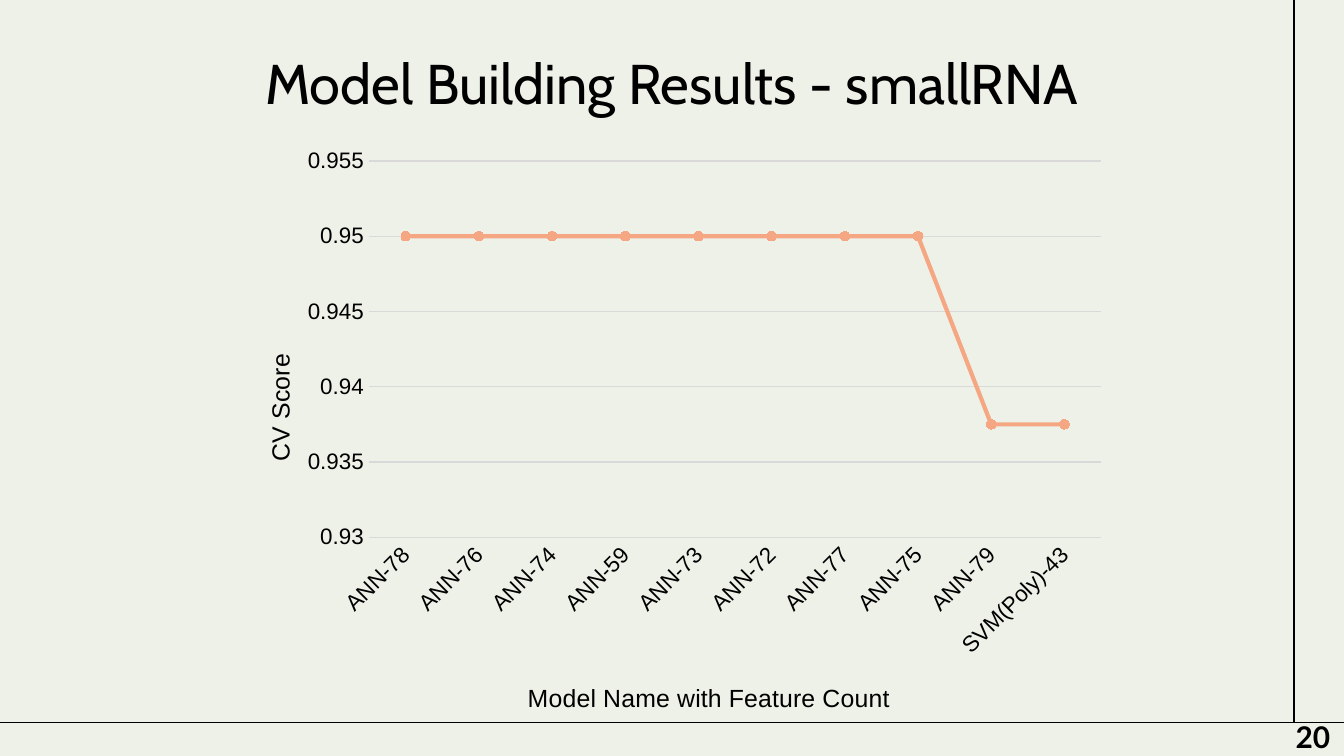
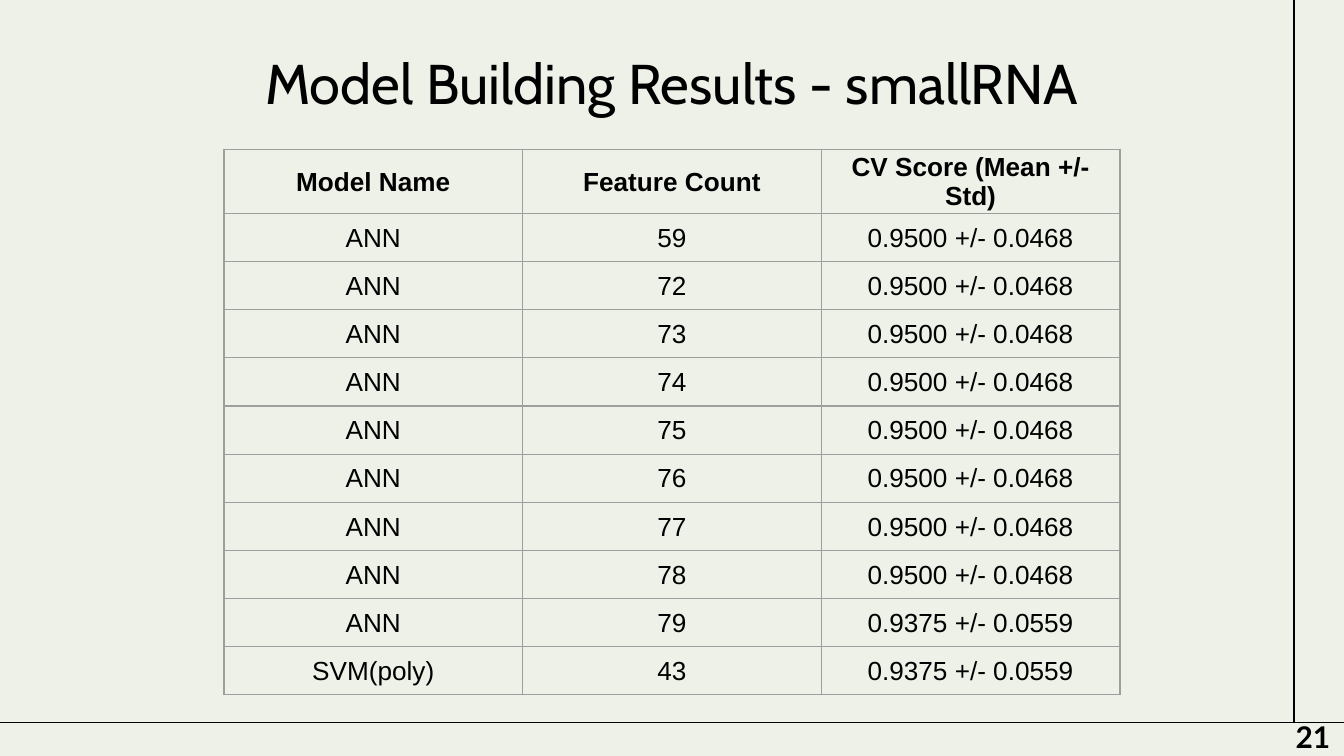
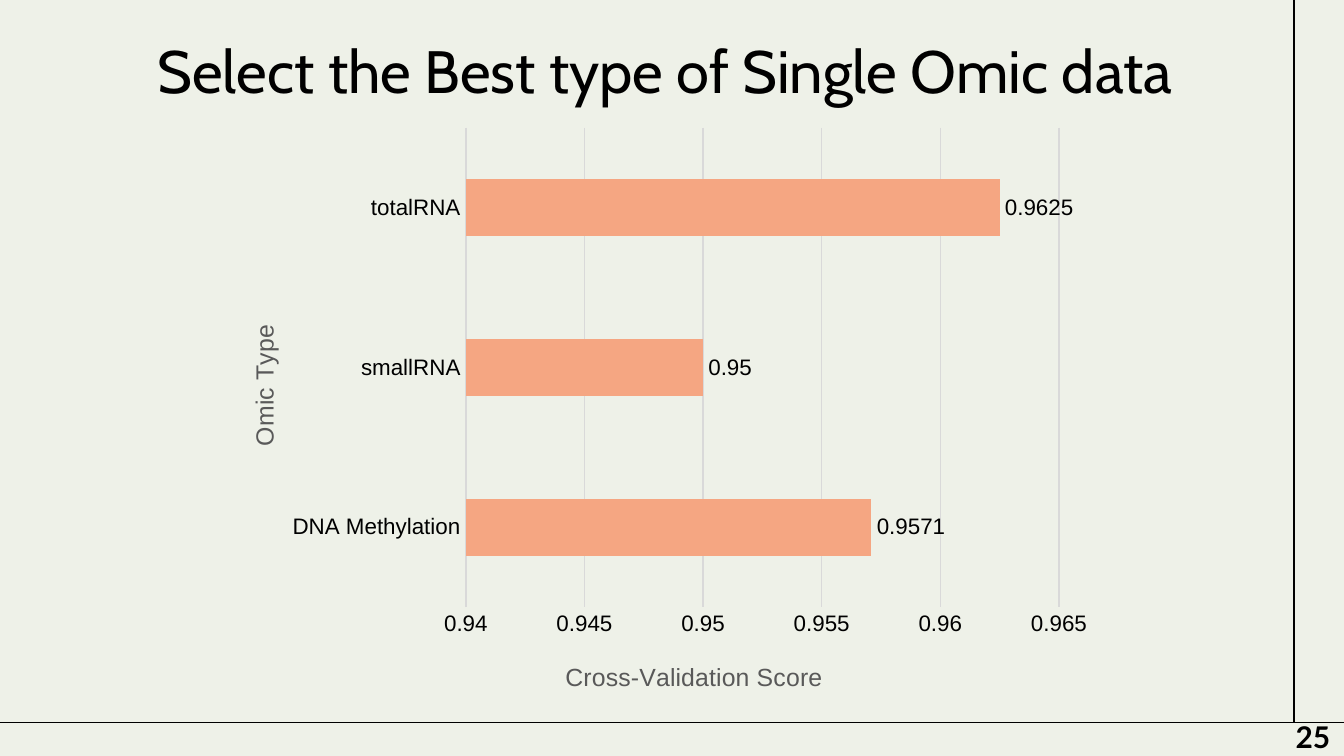
from dataclasses import dataclass

from pptx import Presentation
from pptx.chart.data import CategoryChartData as Data
from pptx.dml.color import RGBColor as RGB
from pptx.enum.chart import XL_CHART_TYPE as Kind
from pptx.enum.chart import XL_LABEL_POSITION as Spot
from pptx.enum.chart import XL_MARKER_STYLE as Mark
from pptx.enum.chart import XL_TICK_MARK as Tick
from pptx.enum.shapes import MSO_CONNECTOR as Line
from pptx.enum.text import MSO_ANCHOR as Anchor
from pptx.enum.text import MSO_AUTO_SIZE as Auto
from pptx.enum.text import PP_ALIGN as Align
from pptx.oxml.ns import qn
from pptx.oxml.xmlchemy import OxmlElement as Node
from pptx.util import Pt


@dataclass(frozen=True)
class Theme:
    paper: RGB = RGB.from_string("EEF1E8")
    ink: RGB = RGB.from_string("000000")
    gray: RGB = RGB.from_string("595959")
    grid: RGB = RGB.from_string("D9D9D9")
    edge: RGB = RGB.from_string("9E9E9E")
    peach: RGB = RGB.from_string("F5A682")
    head: str = "Cabin"
    body: str = "Arial"
    num: str = "Lato"
    page: float = 16
    cell: float = 14
    axis: float = 13.3
    tick: float = 12
    thin: float = 0.75
    bold: float = 2.25


T = Theme()
WIDE, HIGH = 720, 405
RULES = [(693.3, -0.7, 693.3, 387.2), (0, 387.2, 724.3, 387.2)]

RESULT = "Model Building Results - smallRNA"
BEST = "Select the Best type of Single Omic data "

HIT, LOW = 0.95, 0.9375
SCORES = [
    ("ANN-78", HIT), ("ANN-76", HIT), ("ANN-74", HIT), ("ANN-59", HIT),
    ("ANN-73", HIT), ("ANN-72", HIT), ("ANN-77", HIT), ("ANN-75", HIT),
    ("ANN-79", LOW), ("SVM(Poly)-43", LOW),
]
OMICS = [("DNA Methylation", 0.9571), ("smallRNA", 0.95), ("totalRNA", 0.9625)]

TOP, NEXT = "0.9500 +/- 0.0468", "0.9375 +/- 0.0559"
ROWS = [
    ("Model Name", "Feature Count", "CV Score (Mean +/- Std)"),
    *[("ANN", str(n), TOP) for n in (59, *range(72, 79))],
    ("ANN", "79", NEXT),
    ("SVM(poly)", "43", NEXT),
]

# Places inside a chart are shares of its width and height.
LINE = dict(
    kind=Kind.LINE_MARKERS, rows=SCORES, at=(120, 73.5), span=(0.93, 0.955),
    plot=(0.162, 0.04, 0.817, 0.63), hue=T.ink,
    cat=("Model Name with Feature Count", 0, (0.334, 0.905)),
    val=("CV Score", -90, (0.04, 0.355)),
)
BAR = dict(
    kind=Kind.BAR_CLUSTERED, rows=OMICS, at=(112.3, 62), span=(0.94, 0.965),
    plot=(0.286, 0.02, 0.662, 0.803), hue=T.gray,
    cat=("Omic Type", -90, (0.038, 0.342)),
    val=("Cross-Validation Score", 0, (0.392, 0.905)),
)


def style(font, size, name=T.body, color=T.ink, bold=False):
    font.size, font.name, font.bold = Pt(size), name, bold
    font.color.rgb = color


def stroke(line, color, width=T.thin):
    line.color.rgb, line.width = color, Pt(width)


def child(node, tag, **attrs):
    kid = Node(tag)
    for key, val in attrs.items():
        kid.set(key, str(val))
    node.append(kid)
    return kid


def place(node, *box):
    """Pin a chart part at x, y and, for the plot, w, h."""
    lay = node.find(qn("c:layout"))
    if lay is None:
        lay = Node("c:layout")
        node.insert(0, lay)
    man = child(lay, "c:manualLayout")
    if len(box) == 4:
        child(man, "c:layoutTarget", val="inner")
    child(man, "c:xMode", val="edge")
    child(man, "c:yMode", val="edge")
    for key, val in zip("xywh", box):
        child(man, "c:" + key, val=val)


def turn(node, deg):
    for body in node.iter(qn("a:bodyPr")):
        body.set("rot", str(deg * 60000))
        body.set("vert", "horz")


def set_axis(axis, text, deg, spot, hue):
    axis.major_tick_mark = axis.minor_tick_mark = Tick.NONE
    style(axis.tick_labels.font, T.tick)
    title = axis.axis_title
    para = title.text_frame.paragraphs[0]
    para.text = text
    style(para.runs[0].font, T.axis, color=hue)
    turn(title.element, deg)
    place(title.element, *spot)


def add_chart(slide, kind, rows, at, span, plot, hue, cat, val):
    data = Data()
    data.categories = [name for name, _ in rows]
    data.add_series("Series 1", [score for _, score in rows])
    x, y = at
    chart = slide.shapes.add_chart(
        kind, Pt(x), Pt(y), Pt(480), Pt(320), data).chart
    chart.has_legend = chart.has_title = False
    style(chart.font, 10)
    chart.plots[0].vary_by_categories = False
    place(chart.element.xpath("c:chart/c:plotArea")[0], *plot)

    names, scale = chart.category_axis, chart.value_axis
    set_axis(names, *cat, hue)
    set_axis(scale, *val, hue)
    names.has_major_gridlines = False
    stroke(names.format.line, T.grid)
    scale.minimum_scale, scale.maximum_scale = span
    scale.major_unit = 0.005
    scale.has_major_gridlines = True
    stroke(scale.major_gridlines.format.line, T.grid)
    scale.format.line.fill.background()
    return chart


def line_slide(slide):
    chart = add_chart(slide, **LINE)
    turn(chart.element.xpath("c:chart/c:plotArea/c:catAx/c:txPr")[0], -45)
    row = chart.plots[0].series[0]
    row.smooth = False
    stroke(row.format.line, T.peach, T.bold)
    mark = row.marker
    mark.style, mark.size = Mark.CIRCLE, 5
    mark.format.fill.solid()
    mark.format.fill.fore_color.rgb = T.peach
    stroke(mark.format.line, T.peach)


def bar_slide(slide):
    plot = add_chart(slide, **BAR).plots[0]
    plot.gap_width = 182
    fill = plot.series[0].format.fill
    fill.solid()
    fill.fore_color.rgb = T.peach
    tags = plot.series[0].data_labels
    tags.show_value, tags.position = True, Spot.OUTSIDE_END
    style(tags.font, T.tick)


def set_cell(cell, text, bold):
    cell.margin_left = cell.margin_right = cell.margin_top = Pt(0.7)
    cell.margin_bottom = 0
    cell.vertical_anchor = Anchor.MIDDLE
    cell.fill.background()
    para = cell.text_frame.paragraphs[0]
    para.text, para.alignment = text, Align.CENTER
    style(para.runs[0].font, T.cell, bold=bold)
    props = cell._tc.get_or_add_tcPr()
    for i, side in enumerate("LRTB"):
        edge = Node("a:ln" + side)
        edge.set("w", str(Pt(T.thin)))
        child(child(edge, "a:solidFill"), "a:srgbClr", val=T.edge)
        props.insert(i, edge)


def table_slide(slide):
    step, cols = 25.8, len(ROWS[0])
    table = slide.shapes.add_table(
        len(ROWS), cols, Pt(120), Pt(80), Pt(480), Pt(step * len(ROWS))).table
    table.first_row = table.horz_banding = False
    for col in table.columns:
        col.width = Pt(480 / cols)
    for r, row in enumerate(ROWS):
        table.rows[r].height = Pt(step)
        for c, text in enumerate(row):
            set_cell(table.cell(r, c), text, r == 0)


def add_title(slide, text, top, size):
    box = slide.shapes.title
    box.left, box.top, box.width, box.height = map(Pt, (56.7, top, 606.6, 45))
    frame = box.text_frame
    frame.text = text
    frame.word_wrap, frame.auto_size = True, Auto.NONE
    frame.vertical_anchor = Anchor.TOP
    frame.margin_left = frame.margin_right = Pt(7.2)
    frame.margin_top = frame.margin_bottom = Pt(7.2)
    para = frame.paragraphs[0]
    para.alignment = Align.CENTER
    style(para.runs[0].font, size, T.head)


def add_page(slide, num):
    box = slide.shapes.add_textbox(Pt(687), Pt(381.6), Pt(33), Pt(26.6))
    frame = box.text_frame
    frame.text = str(num)
    frame.word_wrap, frame.auto_size = False, Auto.SHAPE_TO_FIT_TEXT
    style(frame.paragraphs[0].runs[0].font, T.page, T.num, bold=True)


def add_rules(slide):
    """Draw the frame lines and hand them to the shared layout."""
    for ends in RULES:
        rule = slide.shapes.add_connector(Line.STRAIGHT, *map(Pt, ends))
        stroke(rule.line, T.ink)
        child(rule.element.spPr, "a:effectLst")
        slide.slide_layout.shapes.element.append(rule.element)


SLIDES = [
    (RESULT, 18.7, 30, 20, line_slide),
    (RESULT, 18.7, 30, 21, table_slide),
    (BEST, 10.8, 32, 25, bar_slide),
]


def main():
    deck = Presentation()
    deck.slide_width, deck.slide_height = Pt(WIDE), Pt(HIGH)
    back = deck.slide_master.background.fill
    back.solid()
    back.fore_color.rgb = T.paper
    for i, (text, top, size, num, draw) in enumerate(SLIDES):
        slide = deck.slides.add_slide(deck.slide_layouts[5])
        if i == 0:
            add_rules(slide)
        add_title(slide, text, top, size)
        add_page(slide, num)
        draw(slide)
    deck.save("out.pptx")


if __name__ == "__main__":
    main()
